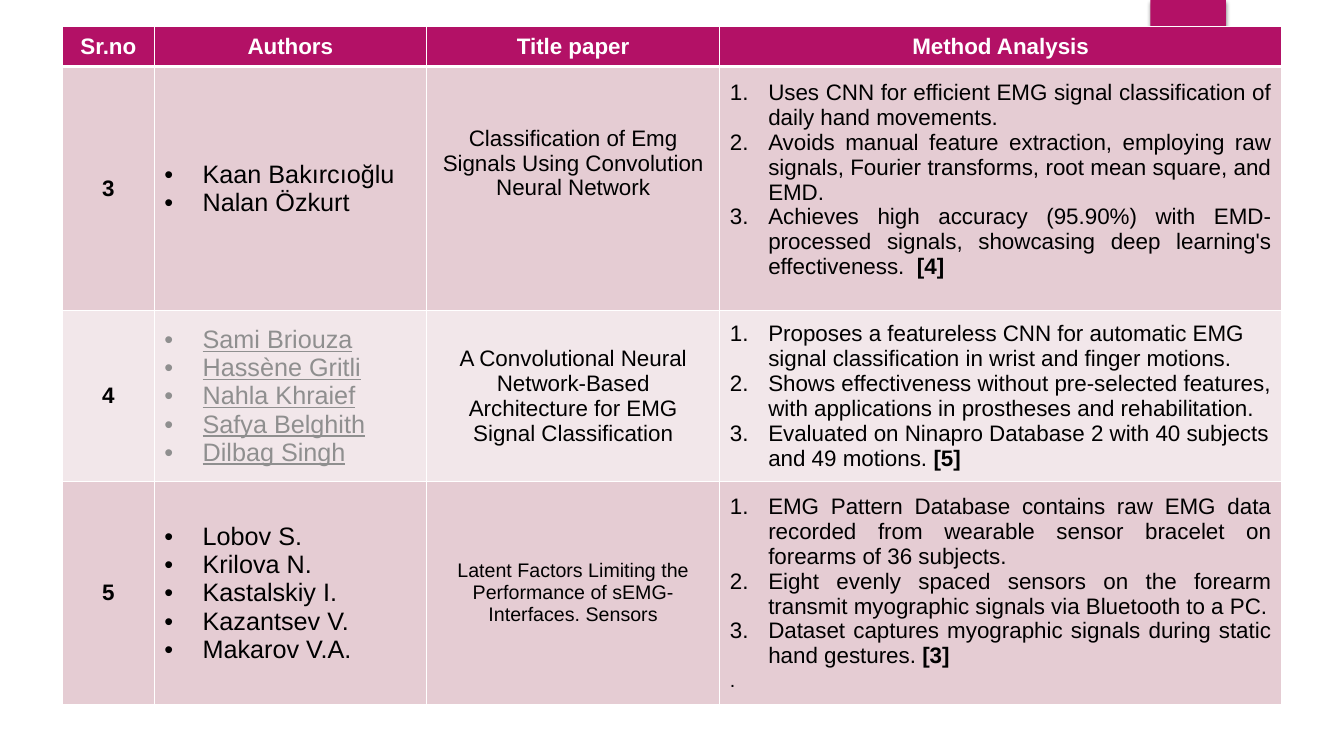
from dataclasses import dataclass

from lxml import etree
from pptx import Presentation
from pptx.dml.color import RGBColor
from pptx.enum.shapes import MSO_SHAPE
from pptx.enum.text import MSO_ANCHOR, PP_ALIGN
from pptx.oxml import parse_xml
from pptx.oxml.ns import nsdecls, qn
from pptx.util import Inches, Pt

WHITE = RGBColor(0xFF, 0xFF, 0xFF)
BLACK = RGBColor(0, 0, 0)
GREY = RGBColor(0x8F, 0x8F, 0x8F)
PINK = RGBColor(0xB3, 0x11, 0x66)
ROSE = RGBColor(0xE5, 0xCC, 0xD3)
PALE = RGBColor(0xF2, 0xE7, 0xEA)
LEFT, MID, JUST = PP_ALIGN.LEFT, PP_ALIGN.CENTER, PP_ALIGN.JUSTIFY
RECT, CENTRE = MSO_SHAPE.RECTANGLE, MSO_ANCHOR.MIDDLE
FONT = "Arial"
HANG = Inches(0.38)
HEADS = ["Sr.no", "Authors", "Title paper", "Method Analysis"]
COLS = [0.91, 2.7, 2.91, 5.57]


@dataclass
class Paper:
    num: str
    names: list[str]
    title: str
    notes: list[str]
    ref: str
    high: float
    fill: RGBColor = ROSE
    ink: RGBColor = BLACK
    line: bool = False
    size: int = 16
    align: PP_ALIGN = JUST
    lift: tuple[float, float] = (0, 0)  # extra space below title and notes
    end: str = ""


PAPERS = [
    Paper("3", ["Kaan Bakırcıoğlu", "Nalan Özkurt"],
          "Classification of Emg Signals Using Convolution Neural Network",
          ["Uses CNN for efficient EMG signal classification of daily hand movements.",
           "Avoids manual feature extraction, employing raw signals, Fourier transforms, "
           "root mean square, and EMD.",
           "Achieves high accuracy (95.90%) with EMD-processed signals, showcasing "
           "deep learning's effectiveness.  "],
          "[4]", 2.42, lift=(0.5, 0.17)),
    Paper("4", ["Sami Briouza", "Hassène Gritli", "Nahla Khraief", "Safya Belghith",
                "Dilbag Singh"],
          "A Convolutional Neural Network-Based Architecture for EMG Signal Classification",
          ["Proposes a featureless CNN for automatic EMG signal classification in wrist "
           "and finger motions.",
           "Shows effectiveness without pre-selected features, with applications in "
           "prostheses and rehabilitation.",
           "Evaluated on Ninapro Database 2 with 40 subjects and 49 motions. "],
          "[5]", 1.7, fill=PALE, ink=GREY, line=True, align=LEFT),
    Paper("5", ["Lobov S.", "Krilova N.", "Kastalskiy I.", "Kazantsev V.", "Makarov V.A."],
          "Latent Factors Limiting the Performance of sEMG-Interfaces. Sensors",
          ["EMG Pattern Database contains raw EMG data recorded from wearable sensor "
           "bracelet on forearms of 36 subjects.",
           "Eight evenly spaced sensors on the forearm transmit myographic signals via "
           "Bluetooth to a PC.",
           "Dataset captures myographic signals during static hand gestures. "],
          "[3]", 2.21, size=14, end="."),
]


def add_run(para, text: str, size: int, ink: RGBColor, bold: bool, line: bool) -> None:
    run = para.add_run()
    run.text = text
    font = run.font
    font.name, font.size, font.bold = FONT, Pt(size), bold
    font.color.rgb = ink
    if line:
        font.underline = True


def write(cell, texts: list[str], *, size: int = 16, ink: RGBColor = BLACK,
          bold: bool = False, line: bool = False, align: PP_ALIGN = MID,
          mark: str = "", ref: str = "", end: str = "") -> None:
    frame = cell.text_frame
    for i, text in enumerate(texts):
        para = frame.add_paragraph() if i else frame.paragraphs[0]
        para.alignment = align
        if mark:
            props = para._p.get_or_add_pPr()
            props.set("marL", str(HANG))
            props.set("indent", str(-HANG))
            etree.SubElement(props, qn("a:buFont"), typeface=FONT)
            if mark == "1.":
                etree.SubElement(props, qn("a:buAutoNum"), type="arabicPeriod")
            else:
                etree.SubElement(props, qn("a:buChar"), char=mark)
        add_run(para, text, size, ink, bold, line)
    if ref:
        add_run(para, ref, size, ink, True, line)
    if end:
        para = frame.add_paragraph()
        para.line_spacing = 1.07
        add_run(para, end, 14, ink, False, False)


def dress(cell, fill: RGBColor, top: int = 1, base: int = 1) -> None:
    cell.vertical_anchor = CENTRE
    cell.fill.solid()
    cell.fill.fore_color.rgb = fill
    props = cell._tc.get_or_add_tcPr()
    for i, (side, wide) in enumerate(zip("LRTB", (1, 1, top, base))):
        props.insert(i, parse_xml(
            f'<a:ln{side} {nsdecls("a")} w="{Pt(wide)}"><a:solidFill>'
            f'<a:srgbClr val="{WHITE}"/></a:solidFill></a:ln{side}>'))


def add_tab(slide) -> None:
    tab = slide.shapes.add_shape(RECT, Inches(11.41), 0, Inches(0.75), Inches(1.25))
    tab.fill.solid()
    tab.fill.fore_color.rgb = PINK
    tab.line.fill.background()
    tab._element.spPr.append(parse_xml(
        f'<a:effectLst {nsdecls("a")}><a:outerShdw blurRad="{Pt(3)}" dist="{Pt(2)}" '
        'dir="5400000" rotWithShape="0"><a:srgbClr val="000000"><a:alpha val="45000"/>'
        '</a:srgbClr></a:outerShdw></a:effectLst>'))


def add_grid(slide) -> None:
    highs = [0.4] + [paper.high for paper in PAPERS]
    grid = slide.shapes.add_table(len(highs), len(COLS), Inches(0.62), Inches(0.26),
                                  Inches(sum(COLS)), Inches(sum(highs))).table
    for col, wide in zip(grid.columns, COLS):
        col.width = Inches(wide)
    for row, high in zip(grid.rows, highs):
        row.height = Inches(high)

    # Header row
    for cell, head in zip(grid.rows[0].cells, HEADS):
        dress(cell, PINK, base=3)
        write(cell, [head], ink=WHITE, bold=True)

    # One row per paper
    for i, paper in enumerate(PAPERS, 1):
        num, names, title, notes = cells = list(grid.rows[i].cells)
        for cell in cells:
            dress(cell, paper.fill, top=3 if i == 1 else 1)
        write(num, [paper.num], bold=True)
        write(names, paper.names, size=18, ink=paper.ink, line=paper.line,
              align=LEFT, mark="•")
        write(title, [paper.title], size=paper.size)
        write(notes, paper.notes, align=paper.align, mark="1.", ref=paper.ref,
              end=paper.end)
        for cell, lift in zip((title, notes), paper.lift):
            cell.margin_bottom = Inches(0.05 + lift)


def main() -> None:
    deck = Presentation()
    deck.slide_width, deck.slide_height = Inches(13.33), Inches(7.5)
    slide = deck.slides.add_slide(deck.slide_layouts[6])
    add_tab(slide)
    add_grid(slide)
    deck.save("out.pptx")


if __name__ == "__main__":
    main()
